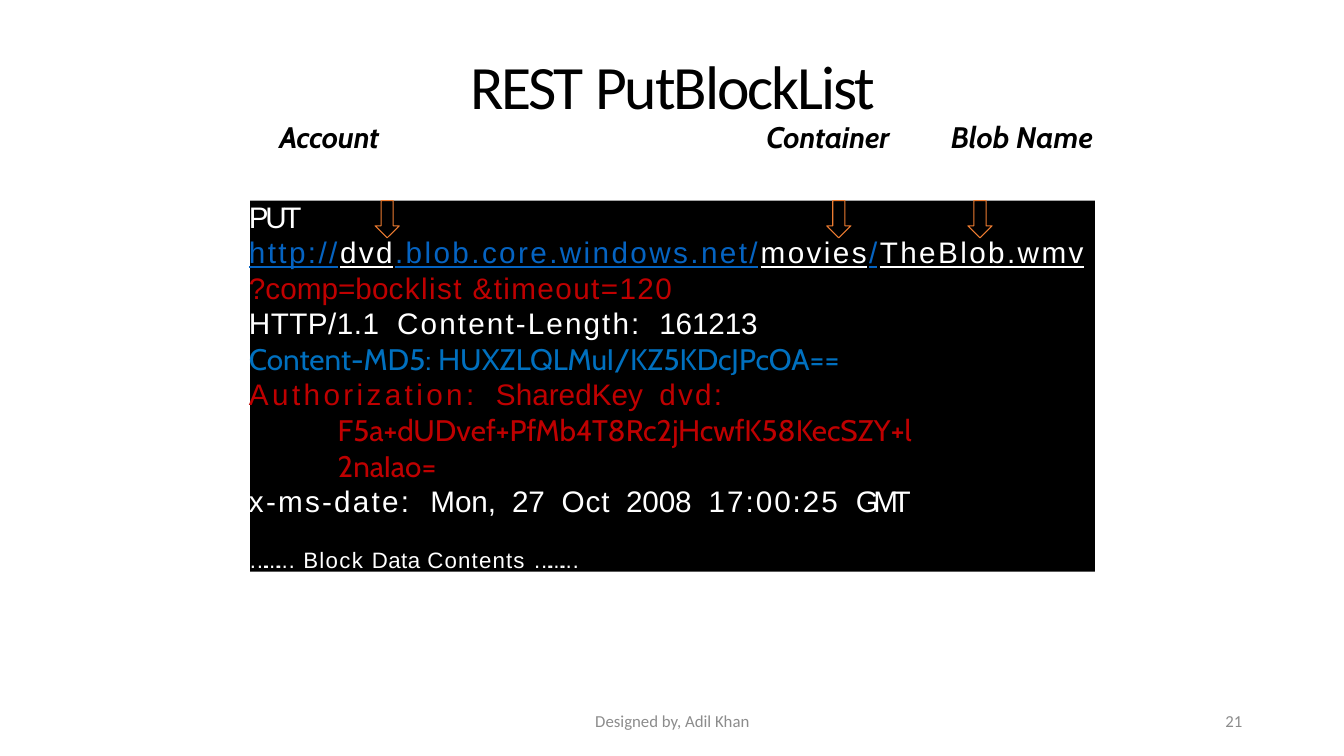
from lxml import etree
from pptx import Presentation, util as u
from pptx.dml.color import RGBColor
from pptx.enum import shapes, text
from pptx.oxml import ns

WIDTH, HEIGHT = 13.33, 7.5
WHITE, BLACK, RED, BLUE, LINK = "FFFFFF", "000000", "BF0000", "0070BF", "0563C1"
GREY, ORANGE = "8C8C8C", "ED7C31"
BODY_SIZE, BODY_PITCH = 21.2, 25.4

REQUEST = [
    dict(spans=[("PUT", -2.5)]),
    dict(spans=[("http://", 1.7, LINK), ("dvd", 1.7, WHITE),
                (".blob.core.windows.net/", 1.7, LINK), ("movies", 1.7, WHITE),
                ("/", 1.7, LINK), ("TheBlob.wmv", 1.7, WHITE)], underline=True),
    dict(spans=[("?comp=bo", 0), ("cklist &timeout=120", 1)], colour=RED),
    dict(spans=[("HTTP/1.1\t", 0.3), ("Content-Length:\t", 1.5), ("161213", -0.1)],
         tabs=[1.47, 4.07]),
    dict(spans=[("Content-MD5: HUXZLQLMuI/KZ5KDcJPcOA==", 0)], font="Cabin", colour=BLUE),
    dict(spans=[("Authorization:\t", 2.4), ("SharedKey\t", 0), ("dvd:", 1.6)],
         colour=RED, tabs=[2.45, 4.07]),
    dict(spans=[("F5a+dUDvef+PfMb4T8Rc2jHcwfK58KecSZY+l2naIao=", 0)],
         font="Cabin", colour=RED, left=0.89, right=1.66),
    dict(spans=[("x-ms-date:\t", 1.6), ("Mon,\t", -0.1), ("27\t", -0.2), ("Oct\t", 0.7),
                ("2008\t", -0.1), ("17:00:25\t", 1.4), ("GMT", -4)],
         tabs=[1.8, 2.61, 3.1, 3.74, 4.56, 6.02]),
    dict(spans=[("………", -7.2), (" Block ", 0.9), ("Data ", 0.3), ("Contents ", 0.8),
                ("………", -7.2)], size=15.9, pitch=20, before=19),
]


def colour_of(value):
    """Turn a hex string into a colour."""
    return RGBColor.from_string(value)


def write_para(para, spans, font="Arial", size=BODY_SIZE, colour=WHITE, pitch=BODY_PITCH,
               before=0, left=0.01, right=0, tabs=(), underline=False, strong=False,
               align=text.PP_ALIGN.LEFT):
    """Fill one paragraph with spans of (text, letter spacing, optional colour)."""
    para.alignment = align
    para.line_spacing = u.Pt(pitch)
    para.space_before = u.Pt(before)
    properties = para._p.get_or_add_pPr()
    for name, value in (("marL", left), ("marR", right)):
        properties.set(name, str(u.Inches(value)))
    if tabs:
        stops = etree.SubElement(properties, ns.qn("a:tabLst"))
        for stop in tabs:
            etree.SubElement(stops, ns.qn("a:tab"), pos=str(u.Inches(stop)), algn="l")
    for words, spacing, *own_colour in spans:
        span = para.add_run()
        span.text = words
        span.font.name, span.font.size = font, u.Pt(size)
        span.font.color.rgb = colour_of(own_colour[0] if own_colour else colour)
        span.font.bold = span.font.italic = strong
        span.font.underline = underline
        span._r.get_or_add_rPr().set("spc", str(round(spacing * 100)))


def prepare_frame(frame, anchor):
    """Set wrapping, margins and anchor of a text frame."""
    frame.word_wrap = True
    frame.auto_size = text.MSO_AUTO_SIZE.NONE
    frame.vertical_anchor = anchor
    frame.margin_left = frame.margin_right = frame.margin_bottom = 0
    frame.margin_top = u.Inches(0.01)


def add_heading(page, left, top, width, height):
    """Place the title with the three column labels beneath it."""
    title = page.shapes.title
    title.left, title.top, title.width, title.height = map(u.Inches, (left, top, width, height))
    frame = title.text_frame
    prepare_frame(frame, text.MSO_ANCHOR.MIDDLE)
    write_para(frame.paragraphs[0], [("REST ", -1.8), ("PutBlockList", -1.5)], "Calibri",
               44, BLACK, 32.9, align=text.PP_ALIGN.CENTER)
    write_para(frame.add_paragraph(),
               [("\tAccount\t", -0.2), ("Container\t", -0.1), ("Blob Name", 0)],
               "Cabin", BODY_SIZE, BLACK, 23.3, left=0, tabs=[1.85, 6.68, 8.51], strong=True)


def add_shape(page, kind, left, top, width, height):
    """Add a preset shape without shadow."""
    shape = page.shapes.add_shape(kind, *map(u.Inches, (left, top, width, height)))
    shape.shadow.inherit = False
    return shape


def add_request(page, left, top, width, height):
    """Place the black panel, the request text and the arrows to the address parts."""
    panel = add_shape(page, shapes.MSO_SHAPE.RECTANGLE, left, top, width, height)
    panel.fill.solid()
    panel.fill.fore_color.rgb = colour_of(BLACK)
    panel.line.fill.background()
    box = page.shapes.add_textbox(*map(u.Inches, (left - 0.02, top - 0.03, width - 0.08, 3.39)))
    frame = box.text_frame
    prepare_frame(frame, text.MSO_ANCHOR.TOP)
    for index, line in enumerate(REQUEST):
        write_para(frame.add_paragraph() if index else frame.paragraphs[0], **line)
    for offset in (1.24, 5.72, 7.12):
        arrow = add_shape(page, shapes.MSO_SHAPE.DOWN_ARROW, left + offset, top, 0.24, 0.37)
        arrow.fill.background()
        arrow.line.color.rgb = colour_of(ORANGE)
        arrow.line.width = u.Pt(0.75)


def add_footer(page, top, height):
    """Place the centred credit and the page number."""
    for words, left, width, align in (
            ("Designed by, Adil Khan", 4.42, 4.5, text.PP_ALIGN.CENTER),
            ("21", 9.42, 3, text.PP_ALIGN.RIGHT)):
        box = page.shapes.add_textbox(*map(u.Inches, (left, top, width, height)))
        box.text_frame.word_wrap = True
        box.text_frame.vertical_anchor = text.MSO_ANCHOR.MIDDLE
        para = box.text_frame.paragraphs[0]
        para.text = words
        para.alignment = align
        font = para.runs[0].font
        font.name, font.size = "Calibri", u.Pt(12)
        font.color.rgb = colour_of(GREY)


def main():
    """Build the slide and save it."""
    deck = Presentation()
    deck.slide_width, deck.slide_height = u.Inches(WIDTH), u.Inches(HEIGHT)
    page = deck.slides.add_slide(deck.slide_layouts[5])
    add_heading(page, 0.92, 0.74, 11.5, 0.8)
    add_request(page, 2.48, 1.99, 8.38, 3.68)
    add_footer(page, 6.95, 0.4)
    deck.save("out.pptx")


if __name__ == "__main__":
    main()
